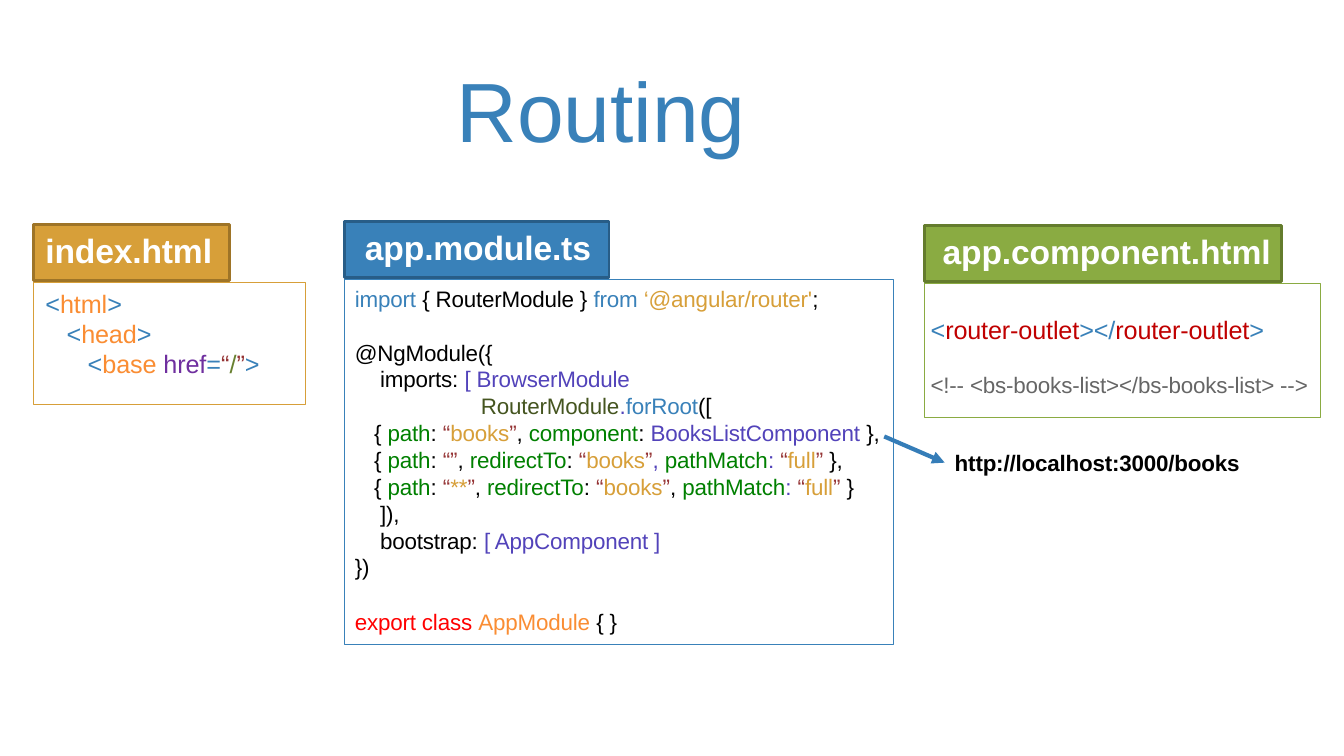
from lxml import etree
from pptx import Presentation
from pptx.dml.color import RGBColor
from pptx.enum.shapes import MSO_CONNECTOR, MSO_SHAPE
from pptx.enum.text import MSO_ANCHOR, PP_ALIGN
from pptx.oxml.ns import qn
from pptx.util import Emu, Pt

RECTANGLE = MSO_SHAPE.RECTANGLE
STRAIGHT = MSO_CONNECTOR.STRAIGHT
TOP = MSO_ANCHOR.TOP
LEFT = PP_ALIGN.LEFT

PX_PER_INCH = 100
FONT = "Arial"
TITLE_ONLY = 5
TAB_RISE = 57
TAB_HEIGHT = 55

BLACK = "000000"
WHITE = "FFFFFF"
BLUE = "3981B9"
GOLD = "D79F39"
LEAF = "8AAB42"
ORANGE = "FA8D33"
VIOLET = "5243BA"
GREEN = "008000"
MAROON = "953334"
CRIMSON = "C00000"

COLON = (": ", BLACK)
COMMA = (", ", BLACK)


def px(length):
    return Emu(length * 914400 // PX_PER_INCH)


def colour(value):
    return RGBColor.from_string(value)


def quoted(text, tail=""):
    return [("“", MAROON), (text, GOLD), ("”" + tail, MAROON)]


def redirect(route, comma, end):
    return (19, [("{ ", BLACK), ("path", GREEN), COLON, *route, COMMA,
                 ("redirectTo", GREEN), COLON, *quoted("books"), comma,
                 ("pathMatch", GREEN), (": ", VIOLET),
                 *quoted("full", " "), (end, BLACK)])


INDEX_BLOCKS = [
    ((0, 5, 269, 93), 18, [
        (12, [("<", BLUE), ("html", ORANGE), (">", BLUE)]),
        (33, [("<", BLUE), ("head", ORANGE), (">", BLUE)]),
        (54, [("<", BLUE), ("base ", ORANGE), ("href", "6F2F9F"), ("=", BLUE),
              ("“", MAROON), ("/", "688030"), ("”", MAROON), (">", BLUE)]),
    ]),
]

MODULE_BLOCKS = [
    ((10, 5, 469, 29), 16, [
        (0, [("import ", BLUE), ("{ RouterModule } ", BLACK), ("from ", BLUE),
             ("‘@angular/router'", GOLD), (";", BLACK)]),
    ]),
    ((10, 58, 529, 243), 16, [
        (0, [("@NgModule({", BLACK)]),
        (25, [("imports: ", BLACK), ("[ BrowserModule", VIOLET)]),
        (125, [("RouterModule", "455520"), (".", VIOLET), ("forRoot", BLUE),
               ("([", BLACK)]),
        (19, [("{ ", BLACK), ("path", GREEN), COLON, *quoted("books"), COMMA,
              ("component", GREEN), COLON, ("BooksListComponent ", VIOLET),
              ("},", BLACK)]),
        redirect([("“”", MAROON)], (", ", VIOLET), "},"),
        redirect(quoted("**"), COMMA, "}"),
        (25, [("]),", BLACK)]),
        (25, [("bootstrap: ", BLACK), ("[ AppComponent ]", VIOLET)]),
        (0, [("})", BLACK)]),
    ]),
    ((10, 325, 266, 29), 16, [
        (0, [("export class ", "FF0000"), ("AppModule ", ORANGE),
             ("{ }", BLACK)]),
    ]),
]

COMPONENT_BLOCKS = [
    ((6, 30, 336, 33), 18, [
        (0, [("<", BLUE), ("router-outlet", CRIMSON), ("></", BLUE),
             ("router-outlet", CRIMSON), (">", BLUE)]),
    ]),
    ((6, 86, 383, 29), 16, [
        (0, [("<!-- <bs-books-list></bs-books-list> -->", "666666")]),
    ]),
]


def write(shape, lines, size, bold=False, inset=1, before=1):
    frame = shape.text_frame
    frame.word_wrap = True
    frame.vertical_anchor = TOP
    frame.margin_left = frame.margin_right = frame.margin_bottom = 0
    frame.margin_top = px(inset)
    for number, (indent, spans) in enumerate(lines):
        para = frame.add_paragraph() if number else frame.paragraphs[0]
        para.alignment = LEFT
        para.line_spacing = Pt(size * 1.2)
        para.space_before = Pt(0 if number else before)
        properties = para._p.get_or_add_pPr()
        properties.set("marL", str(px(indent)))
        properties.set("indent", "0")
        for text, shade in spans:
            span = para.add_run()
            span.text = text
            span.font.name = FONT
            span.font.size = Pt(size)
            span.font.bold = bold
            span.font.color.rgb = colour(shade)
            span._r.get_or_add_rPr().set("spc", "-10")


def add_text(page, box, lines, size, bold=False):
    shape = page.shapes.add_textbox(*map(px, box))
    write(shape, lines, size, bold)


def add_box(page, box, line, width, fill=None):
    shape = page.shapes.add_shape(RECTANGLE, *map(px, box))
    shape.shadow.inherit = False
    shape.line.color.rgb = colour(line)
    shape.line.width = Pt(width)
    if fill:
        shape.fill.solid()
        shape.fill.fore_color.rgb = colour(fill)
    else:
        shape.fill.background()
    return shape


def add_title(page, box, text):
    title = page.shapes.title
    title.left, title.top, title.width, title.height = map(px, box)
    write(title, [(1, [(text, BLUE)])], 60)


def add_panel(page, box, name, tab_width, indent, fill, edge, blocks):
    left, top, width, height = box
    add_box(page, box, fill, 0.72)
    for (x, y, block_width, block_height), size, lines in blocks:
        add_text(page, (left + x, top + y, block_width, block_height),
                 lines, size)
    tab = add_box(page, (left, top - TAB_RISE, tab_width, TAB_HEIGHT),
                  edge, 2.04, fill)
    write(tab, [(indent, [(name, WHITE)])], 24, True, 5, 3)


def add_address(page, box, text):
    left, top, width, height = box
    arrow = page.shapes.add_connector(
        STRAIGHT, px(left - 69), px(top - 12), px(left - 9), px(top + 14))
    arrow.line.color.rgb = colour("357DB8")
    arrow.line.width = Pt(3)
    line = arrow.line._get_or_add_ln()
    etree.SubElement(line, qn("a:tailEnd"), type="triangle", w="med", len="med")
    etree.SubElement(arrow._element.spPr, qn("a:effectLst"))
    add_text(page, box, [(1, [(text, BLACK)])], 16, True)


def main():
    deck = Presentation()
    deck.slide_width, deck.slide_height = px(1333), px(750)
    page = deck.slides.add_slide(deck.slide_layouts[TITLE_ONLY])
    add_title(page, (452, 57, 290, 103), "Routing")
    add_panel(page, (33, 280, 270, 121), "index.html", 195, 12,
              GOLD, "9E7427", INDEX_BLOCKS)
    add_panel(page, (342, 277, 544, 362), "app.module.ts", 262, 20,
              BLUE, "285D87", MODULE_BLOCKS)
    add_panel(page, (917, 281, 393, 133), "app.component.html", 354, 18,
              LEAF, "647C2D", COMPONENT_BLOCKS)
    add_address(page, (946, 445, 290, 29), "http://localhost:3000/books")
    deck.save("out.pptx")


if __name__ == "__main__":
    main()
